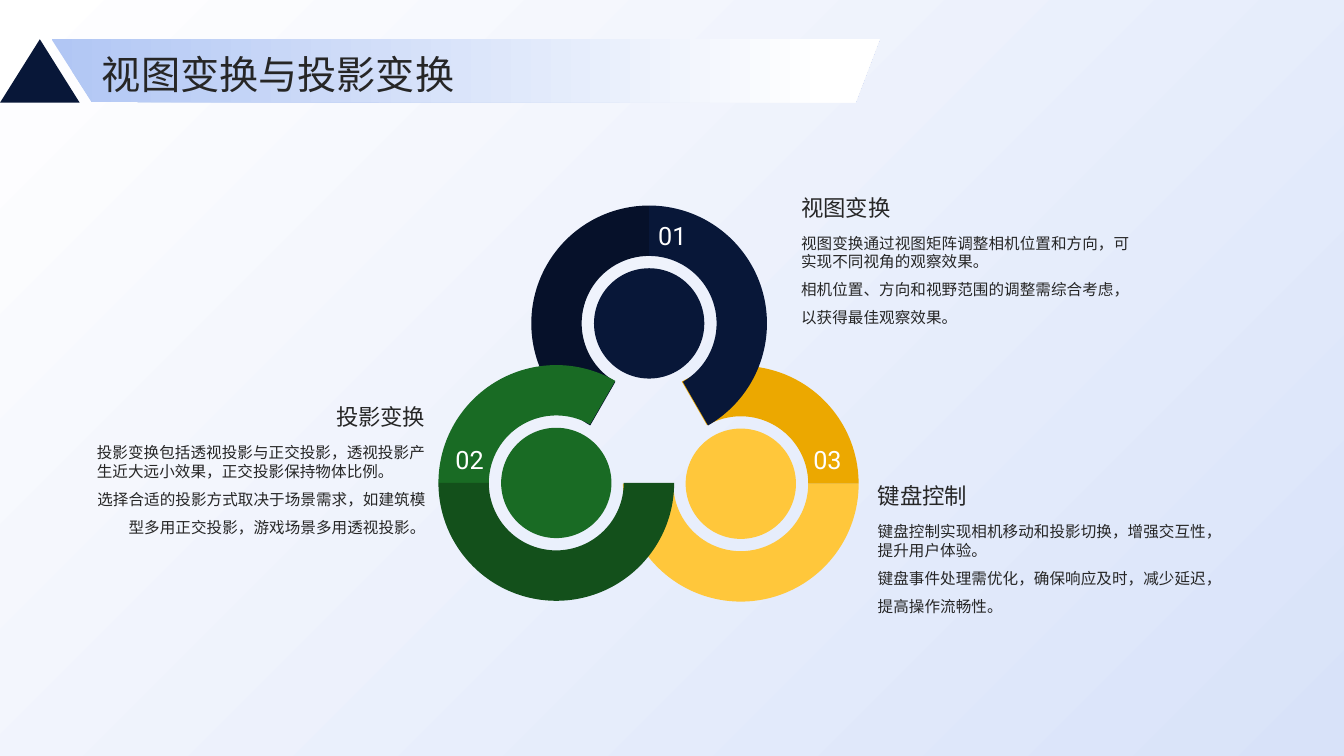
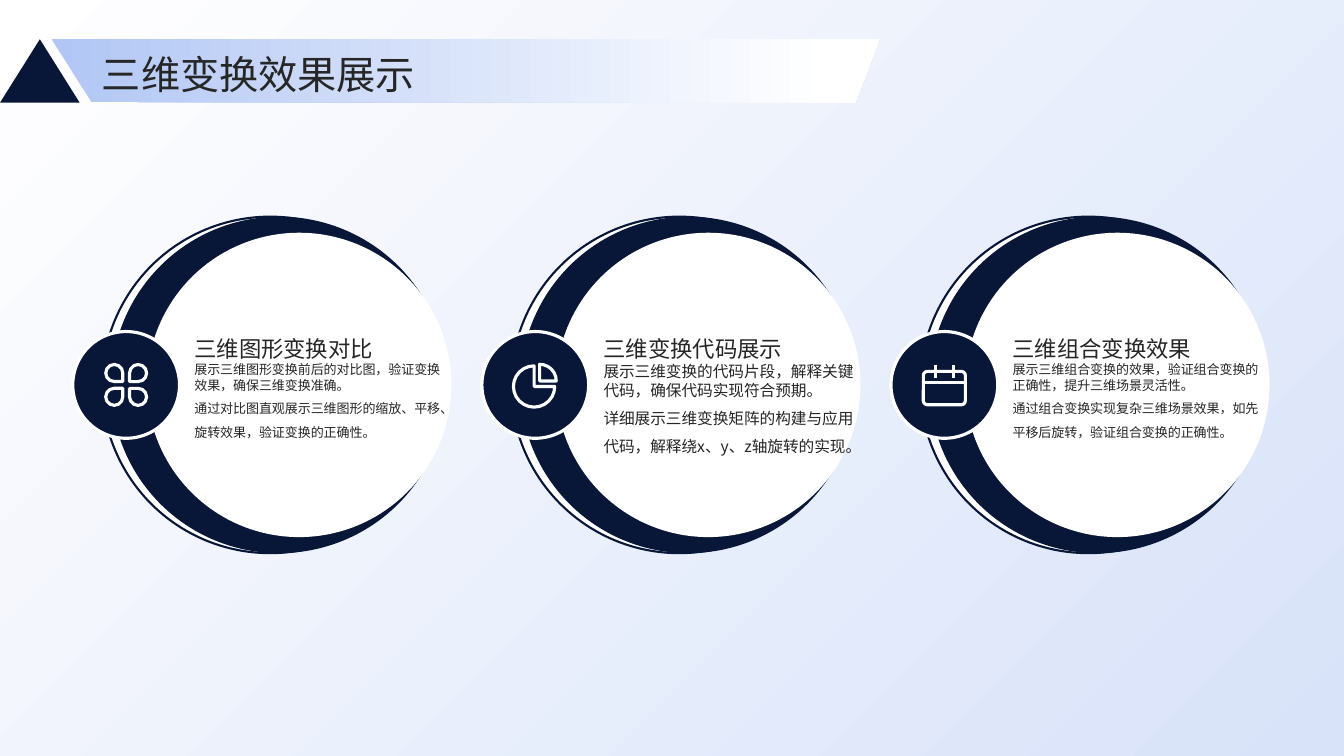
import pptx
import pptx.dml.color
import pptx.enum.shapes
import pptx.enum.text
import pptx.oxml.ns
import pptx.util
from lxml import etree

Cm = pptx.util.Cm
Pt = pptx.util.Pt
SHAPE = pptx.enum.shapes.MSO_SHAPE
ALIGN = pptx.enum.text.PP_ALIGN
ANCHOR = pptx.enum.text.MSO_ANCHOR
qn = pptx.oxml.ns.qn

WIDTH, HEIGHT = 33.87, 19.05
NAVY, DARK_NAVY = "081738", "06112A"
GREEN, DARK_GREEN = "196B24", "13501B"
GOLD, DARK_GOLD = "FFC73B", "ECA800"
WHITE, INK = "FFFFFF", "262626"
SKY, BAND = "D8E2F9", "B1C6F4"
CJK, LATIN = "Noto Sans CJK SC", "Roboto"
RING, HOLE_DISC, THICKNESS = 5.94, 2.78, 1.27
CARD_PITCH = 10.31
ICON_LINE = 2.25


def rgb(color):
    return pptx.dml.color.RGBColor.from_string(color)


def paint(sp, fill=None, line=None, width=1):
    sp.shadow.inherit = False
    if fill:
        sp.fill.solid()
        sp.fill.fore_color.rgb = rgb(fill)
    else:
        sp.fill.background()
    if line:
        sp.line.color.rgb = rgb(line)
        sp.line.width = Pt(width)
    else:
        sp.line.fill.background()
    return sp


def paint_gradient(sp, start, end, angle=0, stop=1.0):
    paint(sp)
    sp.fill.gradient()
    sp.fill.gradient_angle = -angle % 360
    for grad_stop, color, position in zip(sp.fill.gradient_stops, (start, end), (0, stop)):
        grad_stop.color.rgb = rgb(color)
        grad_stop.position = position


def add_shape(s, kind, x, y, w, h, **look):
    return paint(s.shapes.add_shape(kind, Cm(x), Cm(y), Cm(w), Cm(h)), **look)


def add_circle(s, cx, cy, size, kind=SHAPE.OVAL, **look):
    return add_shape(s, kind, cx - size / 2, cy - size / 2, size, size, **look)


def add_line(s, x1, y1, x2, y2, color, width):
    line = s.shapes.add_connector(
        pptx.enum.shapes.MSO_CONNECTOR.STRAIGHT, Cm(x1), Cm(y1), Cm(x2), Cm(y2))
    line.line.color.rgb = rgb(color)
    line.line.width = Pt(width)
    etree.SubElement(line._element.spPr, qn("a:effectLst"))


def set_sweep(sp, start, end):
    sp.adjustments[0] = start * 0.6
    sp.adjustments[1] = end * 0.6


def add_text(s, text, x, y, w, h, size=16, color=INK, font=CJK, align=ALIGN.LEFT,
             anchor=ANCHOR.BOTTOM, spacing=1.3):
    tf = s.shapes.add_textbox(Cm(x), Cm(y), Cm(w), Cm(h)).text_frame
    tf.word_wrap = True
    tf.vertical_anchor = anchor
    tf.margin_left = tf.margin_right = tf.margin_top = tf.margin_bottom = 0
    p = tf.paragraphs[0]
    p.alignment = align
    p.line_spacing = spacing
    add_run(p, text, size, color, font)
    return tf


def add_run(p, text, size, color=INK, font=CJK):
    r = p.add_run()
    r.text = text
    r.font.size = Pt(size)
    r.font.name = font
    r.font.color.rgb = rgb(color)
    etree.SubElement(r._r.get_or_add_rPr(), qn("a:ea"), typeface=font)


def add_body(s, summary, detail, x, y, w, h, size, align=ALIGN.LEFT):
    tf = add_text(s, summary, x, y, w, h, size=size, anchor=ANCHOR.TOP,
                  spacing=Pt(size * 1.2))
    p = tf.add_paragraph()
    p.alignment = align
    p.line_spacing = Pt(size * 1.8)
    add_run(p, detail, size)


def add_base(prs):
    s = prs.slides.add_slide(prs.slide_layouts[6])
    backdrop = add_shape(s, SHAPE.RECTANGLE, 0, 0, WIDTH, HEIGHT)
    paint_gradient(backdrop, WHITE, SKY, angle=45)
    return s


def add_title(s, title):
    add_shape(s, SHAPE.ISOSCELES_TRIANGLE, 0, 0.99, 2.01, 1.6, fill=NAVY)
    outline = s.shapes.build_freeform(Cm(2.31), Cm(2.57))
    corners = [(1.3, 0.99), (22.17, 0.99), (21.56, 2.59)]
    outline.add_line_segments([(Cm(x), Cm(y)) for x, y in corners])
    paint_gradient(outline.convert_to_shape(), BAND, WHITE, stop=0.94)
    add_text(s, title, 2.57, 1.14, 29.26, 1.3, size=28, anchor=ANCHOR.MIDDLE, spacing=1.1)


def add_arc(s, cx, cy, start, end, color):
    sp = add_circle(s, cx, cy, RING, SHAPE.BLOCK_ARC, fill=color)
    set_sweep(sp, start, end)
    sp.adjustments[2] = THICKNESS / RING


def add_topic(s, x, y, heading, summary, detail, align=ALIGN.LEFT):
    add_text(s, heading, x, y, 8.28, 1.65, align=align)
    add_body(s, summary, detail, x, y + 1.98, 8.28, 2.95, 11.1, align)


def add_rings_slide(prs):
    s = add_base(prs)
    top, left, right = (16.36, 8.15), (14.02, 12.17), (18.67, 12.19)
    arcs = [
        (right, 0, 180, GOLD), (right, 240, 0, DARK_GOLD),
        (top, 120, 270, DARK_NAVY),
        (left, 180, 300, GREEN), (left, 0, 180, DARK_GREEN),
        (top, 270, 60, NAVY),
    ]
    for center, start, end, color in arcs:
        add_arc(s, *center, start, end, color)
    for center, color in ((top, NAVY), (left, GREEN), (right, GOLD)):
        add_circle(s, *center, HOLE_DISC, fill=color)
    for number, x, y in (("01", 16.13, 5.46), ("02", 11.02, 11.1), ("03", 20.04, 11.1)):
        add_text(s, number, x, y, 1.63, 0.86, size=18, color=WHITE, font=LATIN,
                 align=ALIGN.CENTER)
    add_topic(s, 20.19, 3.91, "视图变换",
              "视图变换通过视图矩阵调整相机位置和方向，可实现不同视角的观察效果。",
              "相机位置、方向和视野范围的调整需综合考虑，以获得最佳观察效果。")
    add_topic(s, 2.44, 9.19, "投影变换",
              "投影变换包括透视投影与正交投影，透视投影产生近大远小效果，正交投影保持物体比例。",
              "选择合适的投影方式取决于场景需求，如建筑模型多用正交投影，游戏场景多用透视投影。",
              align=ALIGN.RIGHT)
    add_topic(s, 22.12, 11.18, "键盘控制",
              "键盘控制实现相机移动和投影切换，增强交互性，提升用户体验。",
              "键盘事件处理需优化，确保响应及时，减少延迟，提高操作流畅性。")
    add_title(s, "视图变换与投影变换")


def add_petal_icon(s, cx, cy):
    for dx, dy, turn in ((-1, -1, 90), (1, -1, 180), (1, 1, 270), (-1, 1, 0)):
        petal = add_circle(s, cx + dx * 0.3, cy + dy * 0.3, 0.43, SHAPE.TEAR,
                           line=WHITE, width=ICON_LINE)
        petal.rotation = turn


def add_pie_icon(s, cx, cy):
    for dx, dy, size, start, end in ((-0.03, 0.04, 1.04, 0, 270), (0.11, -0.1, 0.84, 270, 0)):
        sector = add_circle(s, cx + dx, cy + dy, size, SHAPE.PIE, line=WHITE, width=ICON_LINE)
        set_sweep(sector, start, end)


def add_calendar_icon(s, cx, cy):
    page = add_shape(s, SHAPE.ROUNDED_RECTANGLE, cx - 0.53, cy - 0.34, 1.06, 0.84,
                     line=WHITE, width=ICON_LINE)
    page.adjustments[0] = 0.12
    add_line(s, cx - 0.53, cy - 0.06, cx + 0.53, cy - 0.06, WHITE, ICON_LINE)
    for dx in (-0.22, 0.22):
        add_line(s, cx + dx, cy - 0.5, cx + dx, cy - 0.18, WHITE, ICON_LINE)


def add_card(s, x, y, heading, summary, detail, size, icon):
    middle = y + 4.24
    add_circle(s, x + 4.98, middle, 8.48, fill=WHITE, line=NAVY, width=1.5)
    add_circle(s, x + 5.21, middle, 8.48, fill=NAVY)
    add_circle(s, x + 5.71, middle, 7.67, fill=WHITE)
    add_circle(s, x + 1.35, middle, 2.69, fill=NAVY, line=WHITE, width=2.25)
    add_body(s, summary, detail, x + 3.07, y + 3.66, 6.3, 3.07, size)
    icon(s, x + 1.35, middle)
    add_text(s, heading, x + 3.07, y + 2.54, 6.3, 1.12)


def add_cards_slide(prs):
    s = add_base(prs)
    cards = [
        ("三维图形变换对比",
         "展示三维图形变换前后的对比图，验证变换效果，确保三维变换准确。",
         "通过对比图直观展示三维图形的缩放、平移、旋转效果，验证变换的正确性。",
         9.3, add_petal_icon),
        ("三维变换代码展示",
         "展示三维变换的代码片段，解释关键代码，确保代码实现符合预期。",
         "详细展示三维变换矩阵的构建与应用代码，解释绕x、y、z轴旋转的实现。",
         11.2, add_pie_icon),
        ("三维组合变换效果",
         "展示三维组合变换的效果，验证组合变换的正确性，提升三维场景灵活性。",
         "通过组合变换实现复杂三维场景效果，如先平移后旋转，验证组合变换的正确性。",
         9.3, add_calendar_icon),
    ]
    for i, card in enumerate(cards):
        add_card(s, 1.83 + i * CARD_PITCH, 5.46, *card)
    add_title(s, "三维变换效果展示")


def main():
    prs = pptx.Presentation()
    prs.slide_width = Cm(WIDTH)
    prs.slide_height = Cm(HEIGHT)
    add_rings_slide(prs)
    add_cards_slide(prs)
    prs.save("out.pptx")


if __name__ == "__main__":
    main()
